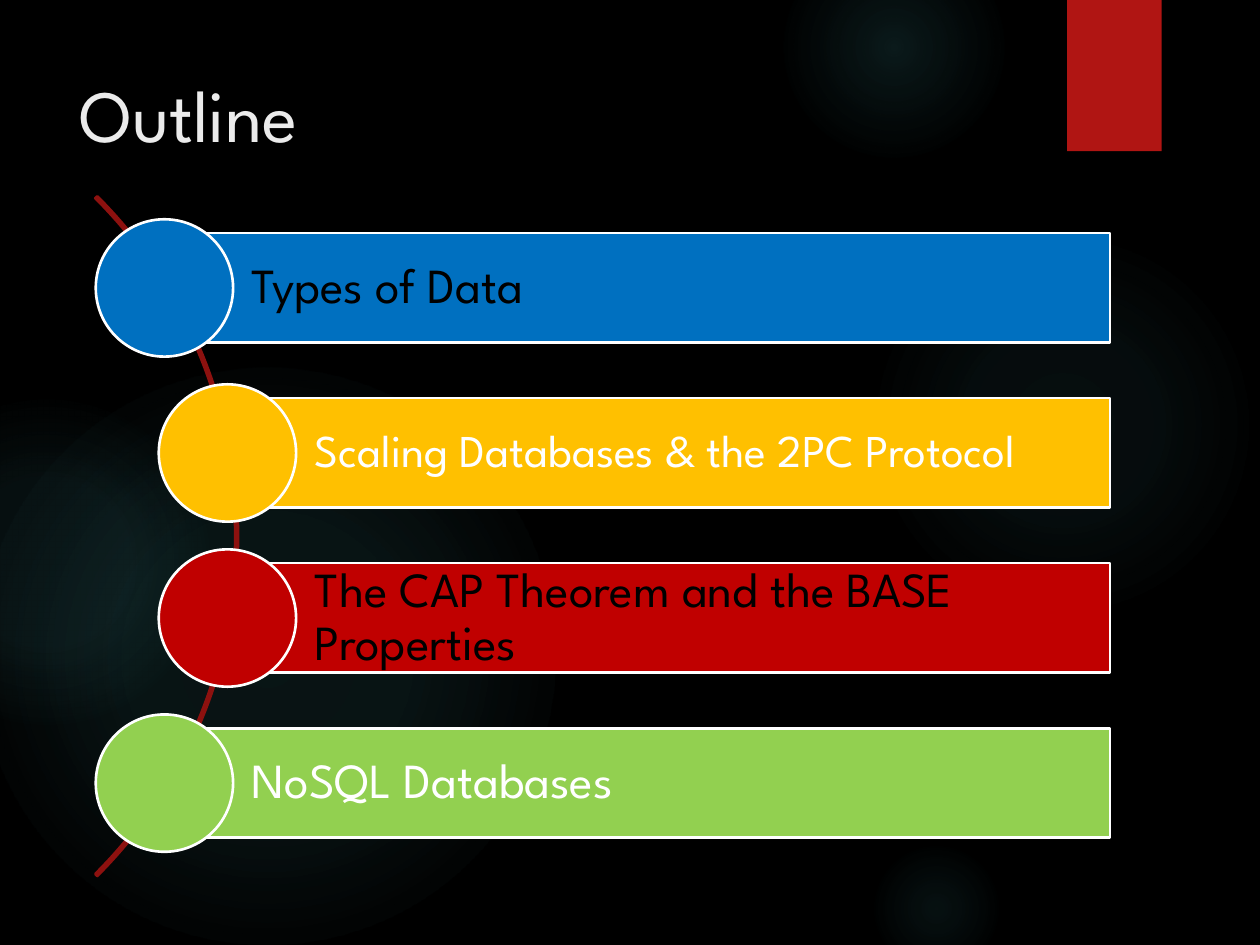
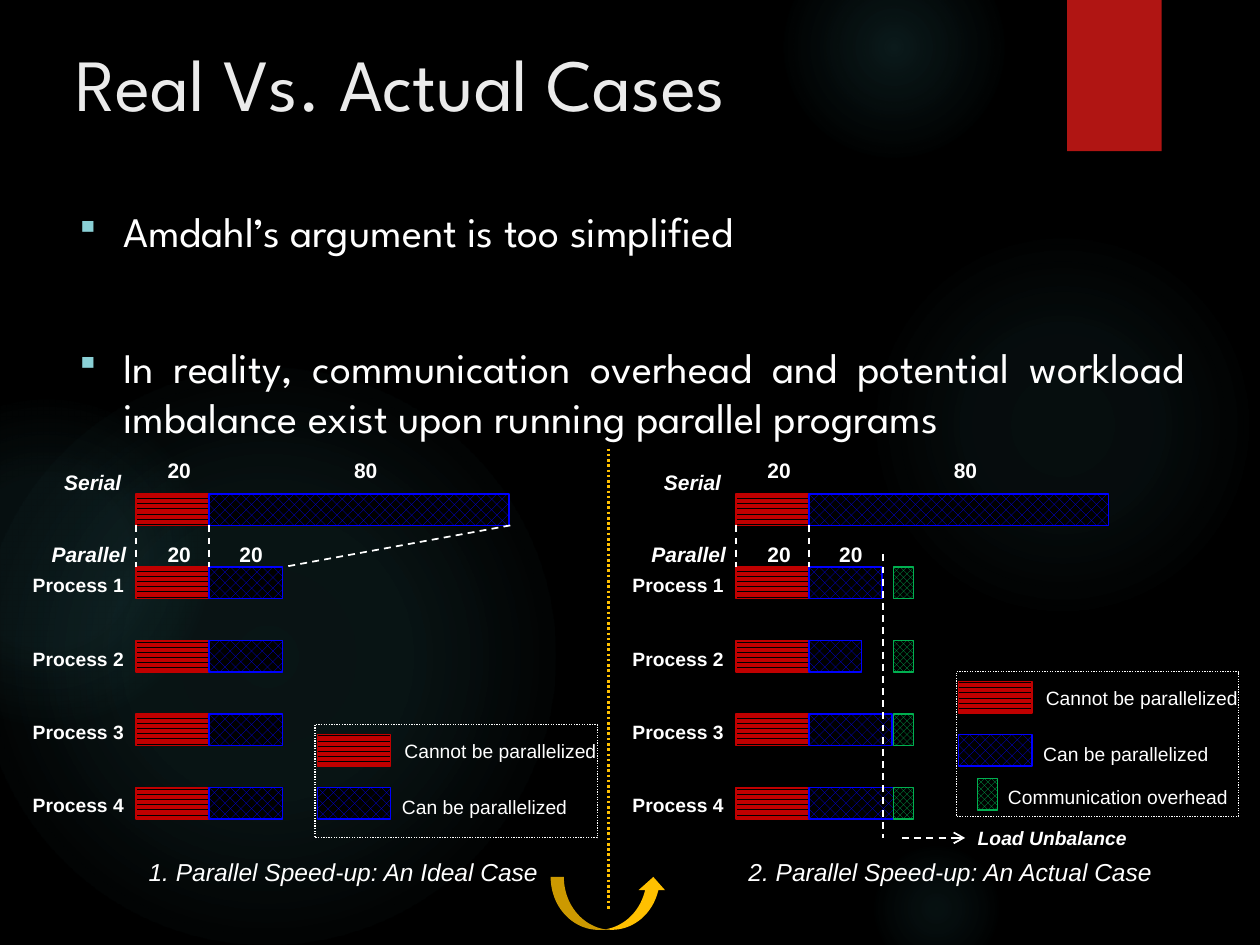
"""Build the outline slide and the slide on parallel speed-up."""
import lxml.etree
import pptx
import pptx.dml.color
import pptx.enum.dml
import pptx.enum.shapes
import pptx.enum.text
import pptx.oxml
import pptx.oxml.ns
import pptx.util

Inches = pptx.util.Inches
Pt = pptx.util.Pt
RGBColor = pptx.dml.color.RGBColor
PRESET = pptx.enum.shapes.MSO_SHAPE
PATTERN = pptx.enum.dml.MSO_PATTERN_TYPE
DASH = pptx.enum.dml.MSO_LINE_DASH_STYLE
ANCHOR = pptx.enum.text.MSO_ANCHOR
ALIGN = pptx.enum.text.PP_ALIGN
qn = pptx.oxml.ns.qn

BLACK = RGBColor(0x00, 0x00, 0x00)
WHITE = RGBColor(0xFF, 0xFF, 0xFF)
TITLE_GREY = RGBColor(0xEB, 0xEB, 0xEB)
BAND_RED = RGBColor(0xB0, 0x15, 0x13)
ARC_RED = RGBColor(0x8D, 0x11, 0x0F)
TOPIC_BLUE = RGBColor(0x00, 0x70, 0xC0)
AMBER = RGBColor(0xFF, 0xC0, 0x00)
RED = RGBColor(0xC0, 0x00, 0x00)
LIME = RGBColor(0x92, 0xD0, 0x50)
BLUE = RGBColor(0x00, 0x00, 0xFF)
GREEN = RGBColor(0x00, 0xB0, 0x50)
GLOW = RGBColor(0x50, 0xB9, 0xC1)
BULLET = RGBColor(0x8A, 0xD0, 0xD6)
HEADING_FONT = "League Spartan"

SERIAL_PART = (RED, PATTERN.DARK_HORIZONTAL)
PARALLEL_PART = (BLUE, PATTERN.WEAVE)
OVERHEAD = (GREEN, PATTERN.LARGE_CHECKER_BOARD)


def write(frame, text, size=12, font="Arial", color=WHITE, bold=False, italic=False,
          insets=(0, 0, 0, 0), anchor=ANCHOR.TOP, align=ALIGN.LEFT, wrap=False, spacing=None):
    """Fill a text frame, one paragraph for each line of text."""
    frame.auto_size = pptx.enum.text.MSO_AUTO_SIZE.NONE
    frame.word_wrap = wrap
    frame.vertical_anchor = anchor
    frame.margin_left, frame.margin_top, frame.margin_right, frame.margin_bottom = map(Inches, insets)
    frame.text = text
    for paragraph in frame.paragraphs:
        paragraph.alignment = align
        if spacing:
            paragraph.line_spacing = spacing
        for run in paragraph.runs:
            run.font.name, run.font.size = font, Pt(size)
            run.font.bold, run.font.italic = bold, italic
            run.font.color.rgb = color


def draw(slide, preset, left, top, width, height, fill=None, pattern=None, line=None, weight=0.75):
    """Add a flat preset shape with a plain, patterned or empty fill."""
    shape = slide.shapes.add_shape(preset, Inches(left), Inches(top), Inches(width), Inches(height))
    shape.shadow.inherit = False
    if pattern:
        shape.fill.patterned()
        shape.fill.pattern = pattern
        shape.fill.fore_color.rgb, shape.fill.back_color.rgb = fill, BLACK
    elif fill is None:
        shape.fill.background()
    else:
        shape.fill.solid()
        shape.fill.fore_color.rgb = fill
    if line is None:
        shape.line.fill.background()
    else:
        shape.line.color.rgb, shape.line.width = line, Pt(weight)
    return shape


prs = pptx.Presentation()
prs.slide_width, prs.slide_height = Inches(10), Inches(7.5)
title_only = prs.slide_layouts[5]
master_fill = prs.slide_master.background.fill
master_fill.solid()
master_fill.fore_color.rgb = BLACK

outline = prs.slides.add_slide(title_only)
cases = prs.slides.add_slide(title_only)

backdrop = []
for left, top, size, inner, middle, fade in (
        (6.89, 1.83, 3.08, 7, 6, 69), (6.22, -0.5, 1.75, 14, 7, 73), (6.89, 6.67, 1.08, 9, 5, 66),
        (-0.17, 2.92, 4.58, 11, 10, 75), (-0.92, 3.17, 2.58, 8, 8, 72)):
    glow = draw(outline, PRESET.OVAL, left, top, size, size)
    stops = "".join(
        f'<a:gs pos="{position}000"><a:srgbClr val="{GLOW}"><a:alpha val="{alpha}000"/></a:srgbClr></a:gs>'
        for position, alpha in ((0, inner), (36, middle), (fade, 0)))
    gradient = pptx.oxml.parse_xml(
        f'<a:gradFill {pptx.oxml.ns.nsdecls("a")} rotWithShape="1"><a:gsLst>{stops}</a:gsLst>'
        '<a:path path="circle"><a:fillToRect l="50000" t="50000" r="50000" b="50000"/></a:path></a:gradFill>')
    properties = glow.element.spPr
    properties.replace(properties.find(qn("a:noFill")), gradient)
    backdrop.append(glow)
backdrop.append(draw(outline, PRESET.RECTANGLE, 8.47, 0, 0.75, 1.2, BAND_RED))
for order, item in enumerate(backdrop):
    item.element.nvSpPr.cNvPr.id = 20 + order
    title_only.shapes.element.insert(2 + order, item.element)

for slide, heading, left, top, width, height in (
        (outline, "Outline", 0.53, 0.5, 7.72, 1.53),
        (cases, "Real Vs. Actual Cases", 0.5, 0.25, 9, 1.25)):
    title = slide.shapes.title
    title.left, title.top, title.width, title.height = map(Inches, (left, top, width, height))
    write(title.text_frame, heading, size=42, font=HEADING_FONT, color=TITLE_GREY,
          insets=(0.1, 0.05, 0.1, 0.05), wrap=True)

arc = draw(outline, PRESET.BLOCK_ARC, -5.74, 0.44, 7.63, 7.63, line=ARC_RED, weight=1.5)
arc.adjustments[0], arc.adjustments[1], arc.adjustments[2] = 189, 27, 0.003
for row, (topic, color, ink, size, left) in enumerate((
        ("Types of Data", TOPIC_BLUE, BLACK, 28, 1.31),
        ("Scaling Databases & the 2PC Protocol", AMBER, WHITE, 26, 1.81),
        ("The CAP Theorem and the BASE Properties", RED, BLACK, 28, 1.81),
        ("NoSQL Databases", LIME, WHITE, 28, 1.31))):
    top = 1.85 + 1.31 * row
    bar = draw(outline, PRESET.RECTANGLE, left, top, 8.81 - left, 0.87, color, line=WHITE, weight=1.5)
    write(bar.text_frame, topic, size=size, font=HEADING_FONT, color=ink,
          insets=(0.69, 0.08, 0.08, 0.08), anchor=ANCHOR.MIDDLE, wrap=True, spacing=0.9)
    draw(outline, PRESET.OVAL, left - 0.55, top - 0.11, 1.09, 1.09, color, line=WHITE, weight=1.5)

argument = cases.shapes.add_textbox(Inches(0.5), Inches(1.58), Inches(9), Inches(2)).text_frame
write(argument, "Amdahl’s argument is too simplified\n"
      "In reality, communication overhead and potential workload imbalance exist upon running parallel programs",
      size=24, font=HEADING_FONT, insets=(0.1, 0.05, 0.1, 0.05), align=ALIGN.JUSTIFY, wrap=True)
for paragraph in argument.paragraphs:
    layout = paragraph._p.get_or_add_pPr()
    layout.set("marL", str(Inches(0.38)))
    layout.set("indent", str(Inches(-0.38)))
    bullet_color = lxml.etree.SubElement(layout, qn("a:buClr"))
    lxml.etree.SubElement(bullet_color, qn("a:srgbClr")).set("val", str(BULLET))
    lxml.etree.SubElement(layout, qn("a:buSzPct")).set("val", "80000")
    lxml.etree.SubElement(layout, qn("a:buChar")).set("char", "▪")
argument.paragraphs[1].space_before = Pt(49)

BAR_HEIGHT = 0.25
SERIAL_TOP = 3.92
PROCESS_TOPS = [4.5 + 1.75 / 3 * row for row in range(4)]
LEGEND = (("Cannot be parallelized", SERIAL_PART, 0.02, 0.08, 0.58, 0.71, 0.12),
          ("Can be parallelized", PARALLEL_PART, 0.02, 0.5, 0.58, 0.69, 0.56),
          ("Communication overhead", OVERHEAD, 0.17, 0.85, 0.16, 0.41, 0.9))
labels = [("Load Unbalance", 7.76, 6.56, 1.19, dict(size=11, bold=True, italic=True))]
lines = [(4.05, 4.17, 2.25, 4.5, WHITE, 1, DASH.DASH),
         (7.01, 4.4, 7.01, 6.65, WHITE, 1, DASH.DASH),
         (4.83, 3.56, 4.83, 7.22, AMBER, 1.5, DASH.ROUND_DOT),
         (7.16, 6.65, 7.66, 6.65, WHITE, 1, DASH.DASH)]

for start, caption, parallel_widths, has_overhead, legend_left, legend_top, legend_height in (
        (1.08, "1. Parallel Speed-up: An Ideal Case", (0.58, 0.58, 0.58, 0.58), False, 2.5, 5.75, 0.9),
        (5.84, "2. Parallel Speed-up: An Actual Case", (0.58, 0.42, 0.66, 0.67), True, 7.59, 5.33, 1.15)):
    split = start + 0.58
    for top, width in zip([SERIAL_TOP, *PROCESS_TOPS], (2.38, *parallel_widths)):
        draw(cases, PRESET.RECTANGLE, start, top, 0.58, BAR_HEIGHT, *SERIAL_PART, line=RED)
        draw(cases, PRESET.RECTANGLE, split, top, width, BAR_HEIGHT, *PARALLEL_PART, line=BLUE)
    for row, top in enumerate(PROCESS_TOPS):
        labels.append((f"Process {row + 1}", start - 0.82, top + 0.05, 0.73, dict(size=11, bold=True)))
        if has_overhead:
            draw(cases, PRESET.RECTANGLE, 7.09, top, 0.16, BAR_HEIGHT, *OVERHEAD, line=GREEN)
    for number, offset, top in (("20", 0.25, 3.63), ("80", 1.73, 3.63), ("20", 0.25, 4.3), ("20", 0.82, 4.3)):
        labels.append((number, start + offset, top, 0.19, dict(bold=True)))
    labels += [("Serial", start - 0.57, 3.73, 0.46, dict(bold=True, italic=True)),
               ("Parallel", start - 0.67, 4.3, 0.6, dict(bold=True, italic=True)),
               (caption, start + 0.1, 6.8, 3.2, dict(size=14, italic=True))]
    lines += [(x, SERIAL_TOP + BAR_HEIGHT, x, PROCESS_TOPS[0], WHITE, 1, DASH.DASH) for x in (start, split)]
    frame = draw(cases, PRESET.RECTANGLE, legend_left, legend_top, 2.24, legend_height, line=WHITE)
    frame.line.dash_style = DASH.ROUND_DOT
    for name, part, key_x, key_y, width, text_x, text_y in LEGEND if has_overhead else LEGEND[:2]:
        draw(cases, PRESET.RECTANGLE, legend_left + key_x, legend_top + key_y, width, BAR_HEIGHT,
             *part, line=part[0])
        labels.append((name, legend_left + text_x, legend_top + text_y, 1.54, dict(size=11)))

for text, left, top, width, style in labels:
    label = cases.shapes.add_textbox(Inches(left), Inches(top), Inches(width), Inches(0.2))
    write(label.text_frame, text, **style)

for x1, y1, x2, y2, color, weight, dash in lines:
    line = cases.shapes.add_connector(pptx.enum.shapes.MSO_CONNECTOR.STRAIGHT,
                                      Inches(x1), Inches(y1), Inches(x2), Inches(y2))
    line.line.color.rgb, line.line.width, line.line.dash_style = color, Pt(weight), dash
    if y1 == y2:
        lxml.etree.SubElement(line.line._get_or_add_ln(), qn("a:tailEnd")).set("type", "arrow")
    lxml.etree.SubElement(line.element.spPr, qn("a:effectLst"))

draw(cases, PRESET.CURVED_UP_ARROW, 4.37, 6.96, 0.92, 0.42, AMBER)

prs.save("out.pptx")
